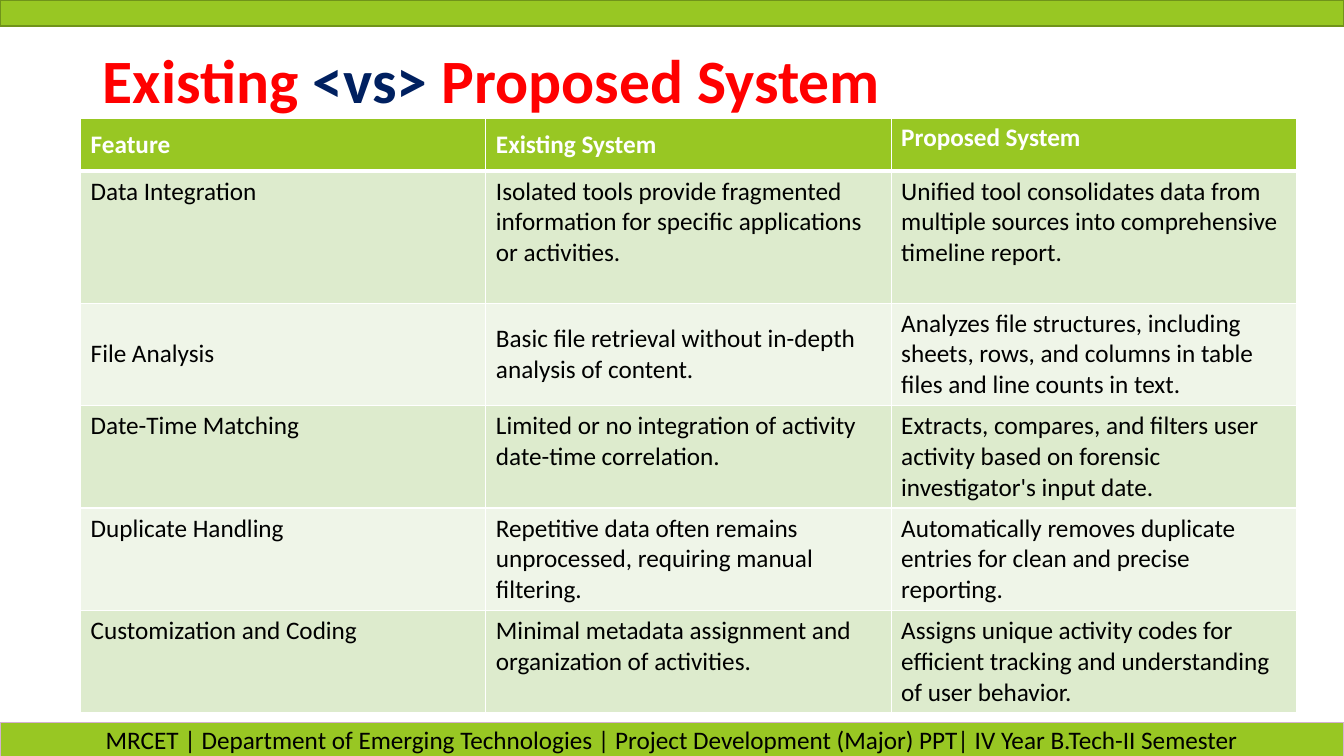
from dataclasses import dataclass

from lxml import etree
from pptx import Presentation
from pptx.dml.color import RGBColor
from pptx.enum.shapes import MSO_SHAPE
from pptx.enum.text import MSO_ANCHOR, MSO_AUTO_SIZE, PP_ALIGN
from pptx.oxml.ns import qn
from pptx.util import Pt

RECT = MSO_SHAPE.RECTANGLE
TOP, MIDDLE = MSO_ANCHOR.TOP, MSO_ANCHOR.MIDDLE
LEFT, CENTER = PP_ALIGN.LEFT, PP_ALIGN.CENTER
FIXED = MSO_AUTO_SIZE.NONE
WIDTH, HEIGHT = 960, 540


@dataclass(frozen=True)
class Theme:
    font: str = "Calibri"
    head: int = 44
    body: int = 18
    green: str = "98C723"
    edge: str = "70931A"
    pink: str = "D4B0D2"
    odd: str = "DDEBCD"
    even: str = "EFF5E8"
    red: str = "FF0000"
    navy: str = "002060"
    black: str = "000000"
    white: str = "FFFFFF"


@dataclass(frozen=True)
class Bar:
    top: float
    height: float
    line: str
    text: str = ""


@dataclass(frozen=True)
class Row:
    height: float
    texts: tuple[str, str, str]
    middle: int = 0  # number of leading cells centred vertically


THEME = Theme()

BARS = [
    Bar(0, 18.72, THEME.edge),
    Bar(516.2, 24.2, THEME.pink,
        "MRCET | Department of Emerging Technologies | "
        "Project Development (Major) PPT| IV Year B.Tech-II Semester"),
]

TITLE = [
    ("Existing ", THEME.red),
    ("<vs> ", THEME.navy),
    ("Proposed System", THEME.red),
]

ROWS = [
    Row(38, ("Feature", "Existing System", "Proposed System"), 2),
    Row(94.3, (
        "Data Integration",
        "Isolated tools provide fragmented information for specific "
        "applications or activities.",
        "Unified tool consolidates data from multiple sources into "
        "comprehensive timeline report.")),
    Row(73.2, (
        "File Analysis",
        "Basic file retrieval without in-depth analysis of content.",
        "Analyzes file structures, including sheets, rows, and columns in "
        "table files and line counts in text."), 2),
    Row(73.2, (
        "Date-Time Matching",
        "Limited or no integration of activity date-time correlation.",
        "Extracts, compares, and filters user activity based on forensic "
        "investigator's input date.")),
    Row(73.2, (
        "Duplicate Handling",
        "Repetitive data often remains unprocessed, requiring manual "
        "filtering.",
        "Automatically removes duplicate entries for clean and precise "
        "reporting.")),
    Row(73.2, (
        "Customization and Coding",
        "Minimal metadata assignment and organization of activities.",
        "Assigns unique activity codes for efficient tracking and "
        "understanding of user behavior.")),
]


def style(font, size: int, color: str, bold: bool = False) -> None:
    font.name = THEME.font
    font.size = Pt(size)
    font.bold = bold
    font.color.rgb = RGBColor.from_string(color)


def paint(fill, color: str) -> None:
    fill.solid()
    fill.fore_color.rgb = RGBColor.from_string(color)


def draw_bar(slide, bar: Bar) -> None:
    shape = slide.shapes.add_shape(
        RECT, Pt(0), Pt(bar.top), Pt(WIDTH), Pt(bar.height))
    shape.shadow.inherit = False
    paint(shape.fill, THEME.green)
    shape.line.color.rgb = RGBColor.from_string(bar.line)
    shape.line.width = Pt(1)
    if bar.text:
        frame = shape.text_frame
        frame.text = bar.text
        frame.word_wrap = True
        frame.vertical_anchor = MIDDLE
        frame.paragraphs[0].alignment = CENTER
        style(frame.paragraphs[0].runs[0].font, THEME.body, THEME.black)


def draw_title(slide) -> None:
    title = slide.shapes.title
    title.left, title.top = Pt(66.24), Pt(28.8)
    title.width, title.height = Pt(828), Pt(61.2)
    frame = title.text_frame
    frame.auto_size = FIXED
    frame.word_wrap = True
    frame.vertical_anchor = MIDDLE
    para = frame.paragraphs[0]
    para.alignment = LEFT
    para.line_spacing = 0.9
    for text, color in TITLE:
        run = para.add_run()
        run.text = text
        style(run.font, THEME.head, color, True)


def add_edges(cell, above: float, below: float) -> None:
    """Give a cell white borders, with its top and bottom widths in points."""
    props = cell._tc.get_or_add_tcPr()
    for side, width in zip("LRTB", (1, 1, above, below)):
        line = etree.SubElement(props, qn(f"a:ln{side}"), w=str(Pt(width)))
        fill = etree.SubElement(line, qn("a:solidFill"))
        etree.SubElement(fill, qn("a:srgbClr"), val=THEME.white)


def draw_table(slide) -> None:
    frame = slide.shapes.add_table(
        len(ROWS), 3, Pt(57.6), Pt(84.24), Pt(868.5),
        Pt(sum(row.height for row in ROWS)))
    table = frame.table
    for col in table.columns:
        col.width = Pt(289.5)
    for i, row in enumerate(ROWS):
        table.rows[i].height = Pt(row.height)
        head = i == 0
        shade = THEME.green if head else THEME.odd if i % 2 else THEME.even
        for j, text in enumerate(row.texts):
            cell = table.cell(i, j)
            cell.text_frame.text = text
            cell.vertical_anchor = MIDDLE if j < row.middle else TOP
            add_edges(cell, 3 if i == 1 else 1, 3 if head else 1)
            paint(cell.fill, shade)
            style(cell.text_frame.paragraphs[0].runs[0].font, THEME.body,
                  THEME.white if head else THEME.black, head)


def main() -> None:
    deck = Presentation()
    deck.slide_width, deck.slide_height = Pt(WIDTH), Pt(HEIGHT)
    slide = deck.slides.add_slide(deck.slide_layouts.get_by_name("Title Only"))
    paint(slide.background.fill, THEME.white)
    for bar in BARS:
        draw_bar(slide, bar)
    draw_title(slide)
    draw_table(slide)
    deck.save("out.pptx")


if __name__ == "__main__":
    main()
